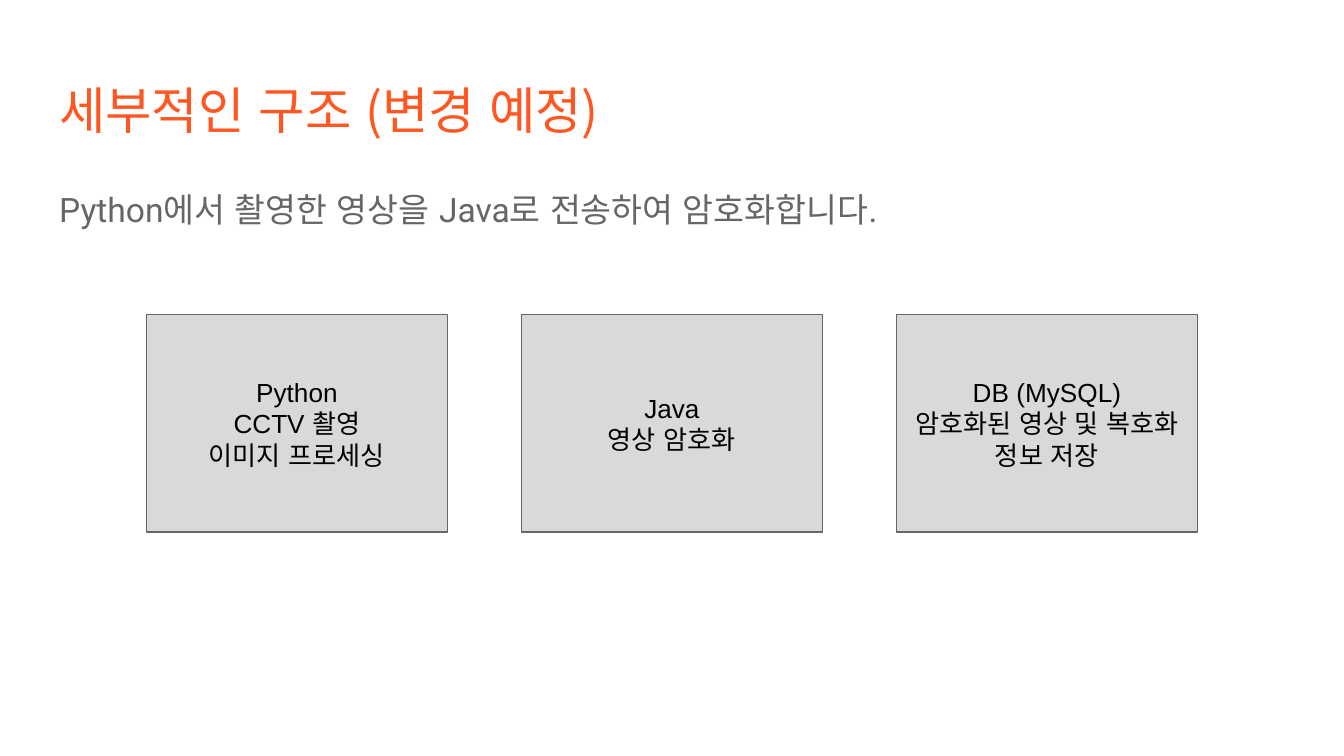
from pptx import Presentation
from pptx.dml.color import RGBColor
from pptx.enum import shapes, text
from pptx.oxml.ns import qn
from pptx.util import Inches, Pt
from lxml import etree

ORANGE = RGBColor(0xFF, 0x57, 0x22)
GRAY = RGBColor(0x66, 0x66, 0x66)
LIGHT_GRAY = RGBColor(0xD9, 0xD9, 0xD9)
BLACK = RGBColor(0, 0, 0)


def add_run(paragraph, words, font_name, size, color):
    run = paragraph.add_run()
    run.text = words
    run.font.name = font_name
    run.font.size = Pt(size)
    run.font.color.rgb = color
    # Typeface for Korean characters and the spaces between them
    east_asian = etree.SubElement(run.font._element, qn("a:ea"))
    east_asian.set("typeface", "Arial")


def set_frame(shape, anchor):
    frame = shape.text_frame
    frame.word_wrap = True
    frame.auto_size = text.MSO_AUTO_SIZE.NONE
    frame.vertical_anchor = anchor
    frame.margin_left = frame.margin_right = Inches(0.1)
    frame.margin_top = frame.margin_bottom = Inches(0.1)
    return frame


# Widescreen slide, 16:9
presentation = Presentation()
presentation.slide_width = Inches(10)
presentation.slide_height = Inches(10 * 9 / 16)
slide = presentation.slides.add_slide(presentation.slide_layouts[1])

# Title
title = slide.shapes.title
title.left, title.top = Inches(0.34), Inches(0.49)
title.width, title.height = Inches(9.32), Inches(0.63)
paragraph = set_frame(title, text.MSO_ANCHOR.TOP).paragraphs[0]
paragraph.alignment = text.PP_ALIGN.LEFT
add_run(paragraph, "세부적인 구조 (변경 예정)", "Noto Sans CJK KR", 27, ORANGE)

# Description without a bullet
body = slide.placeholders[1]
body.left, body.top = Inches(0.34), Inches(1.26)
body.width, body.height = Inches(9.32), Inches(3.74)
paragraph = set_frame(body, text.MSO_ANCHOR.TOP).paragraphs[0]
properties = paragraph._p.get_or_add_pPr()
properties.set("marL", "0")
properties.set("indent", "0")
etree.SubElement(properties, qn("a:buNone"))
paragraph.line_spacing = 1.15
paragraph.space_before = Pt(0)
paragraph.space_after = Pt(12)
add_run(paragraph, "Python에서 촬영한 영상을 Java로 전송하여 암호화합니다.",
        "Roboto", 18, GRAY)

# Three system parts, each with a name and its tasks
parts = [
    ("Python", ["CCTV 촬영", "이미지 프로세싱"]),
    ("Java", ["영상 암호화"]),
    ("DB (MySQL)", ["암호화된 영상 및 복호화 정보 저장"]),
]
for index, (name, tasks) in enumerate(parts):
    box = slide.shapes.add_shape(
        shapes.MSO_SHAPE.RECTANGLE,
        Inches(1.09 + index * 2.79), Inches(2.34), Inches(2.24), Inches(1.62))
    box.shadow.inherit = False
    box.fill.solid()
    box.fill.fore_color.rgb = LIGHT_GRAY
    box.line.color.rgb = GRAY
    box.line.width = Pt(0.75)
    frame = set_frame(box, text.MSO_ANCHOR.MIDDLE)
    heading = frame.paragraphs[0]
    heading.alignment = text.PP_ALIGN.CENTER
    add_run(heading, name, "Arial", 14, BLACK)
    details = frame.add_paragraph()
    details.alignment = text.PP_ALIGN.CENTER
    for number, task in enumerate(tasks):
        if number:
            details.add_line_break()
        add_run(details, task, "Arial", 14, BLACK)

presentation.save("out.pptx")
